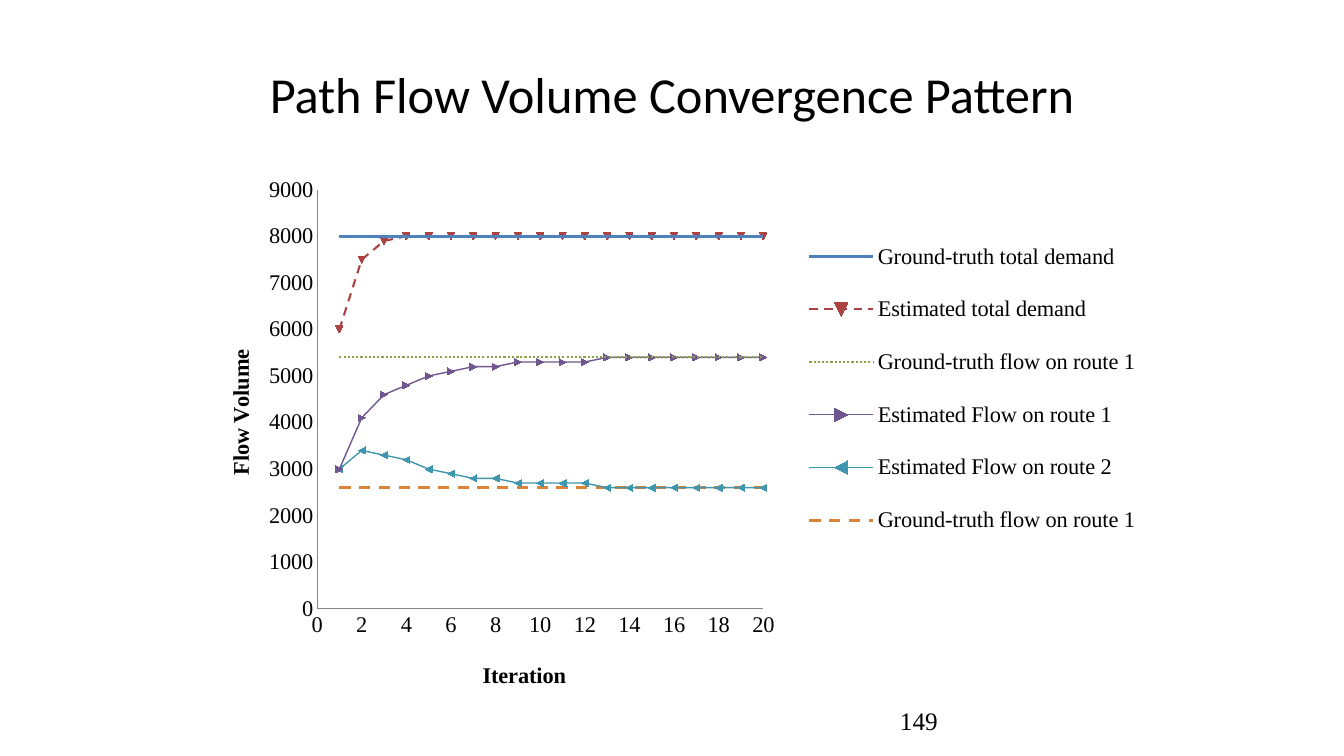
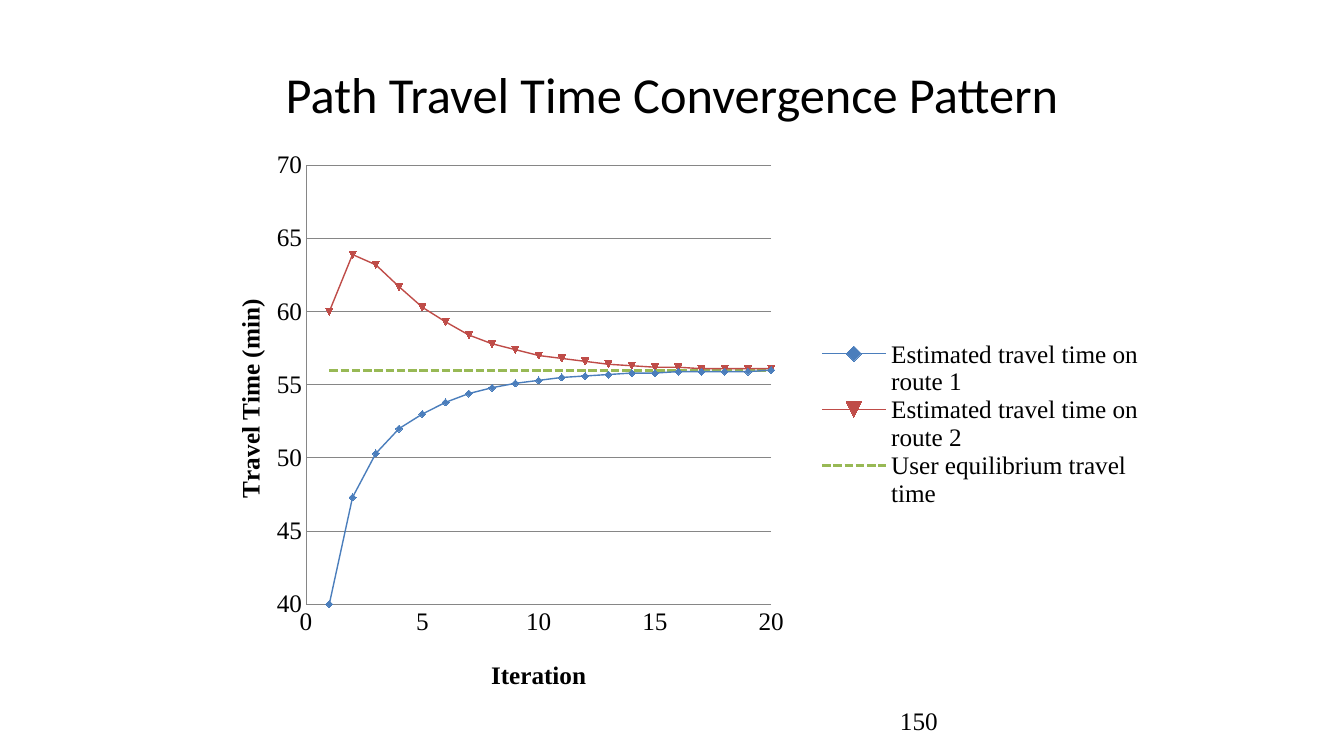
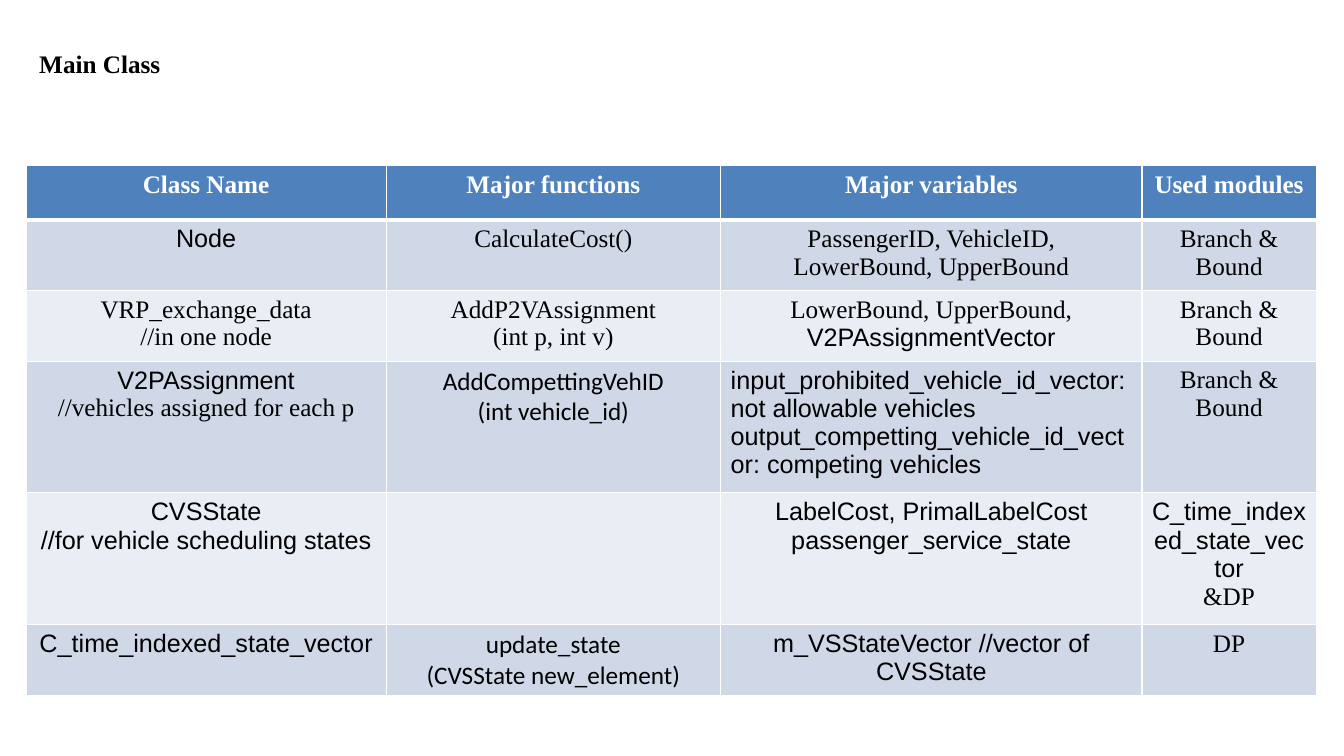
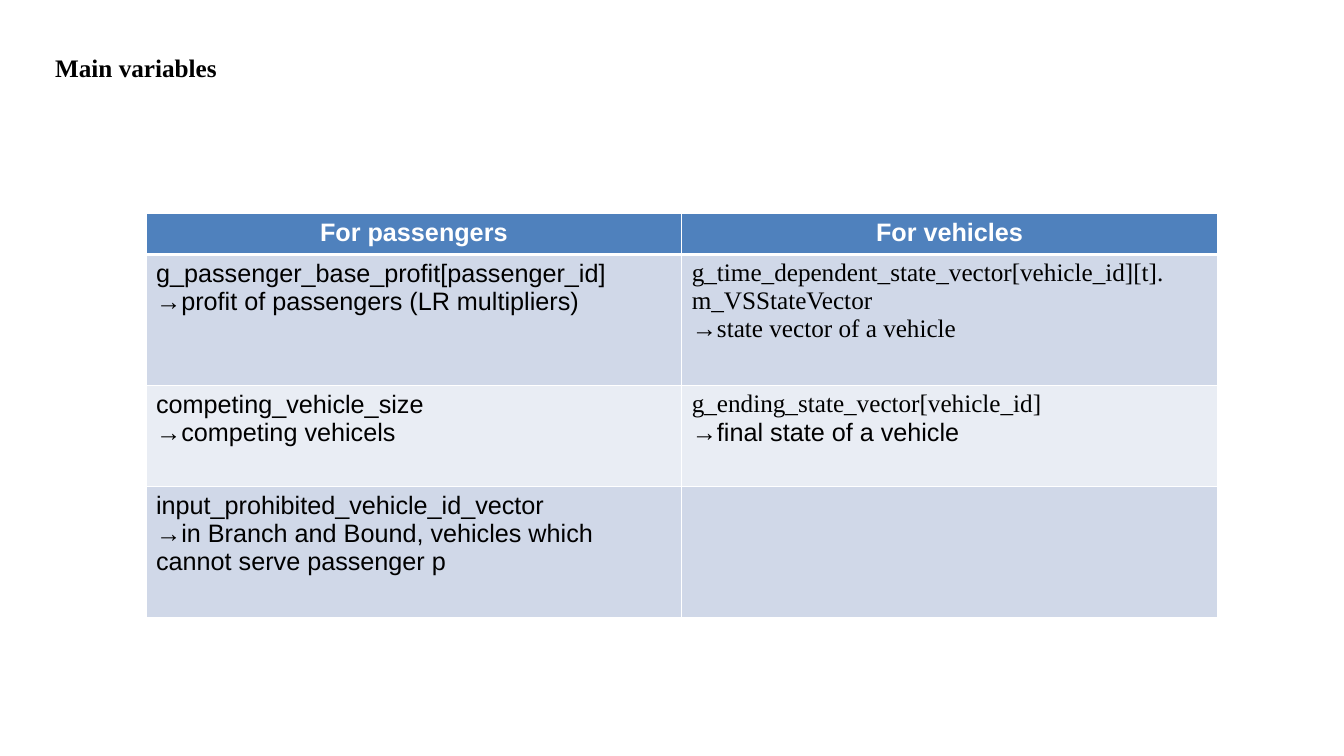
"""Build four slides: two convergence charts and two code reference tables."""
from collections import namedtuple

from lxml import etree
from pptx import Presentation
from pptx import util as u
from pptx.chart import data as chart_data
from pptx.dml import color as dml
from pptx.enum import chart as charts, dml as lines, text
from pptx.oxml import ns

SERIF, SANS, TITLE_FONT = "Times New Roman", "Arial", "Calibri"
BLACK, WHITE, GREY = "000000", "FFFFFF", "868686"
HEADER, BANDS = "4F81BD", ("D0D8E8", "E9EDF4")
TABLE_SIZE = 18
COUNT = 20
DASH, DOTS, SHORT_DASH = (lines.MSO_LINE.DASH, lines.MSO_LINE.ROUND_DOT,
                          lines.MSO_LINE.SQUARE_DOT)

Curve = namedtuple("Curve", "name values color width dash marked", defaults=(None, False))
Axis = namedtuple("Axis", "title low high step title_at")

BRANCH = [(SERIF, "Branch & Bound")]
CLASS_ROWS = [
    [[(SERIF, name)] for name in
     ("Class Name", "Major functions", "Major variables", "Used modules")],
    [[(SANS, "Node")],
     [(SERIF, "CalculateCost()")],
     [(SERIF, "PassengerID, VehicleID,"), (SERIF, "LowerBound, UpperBound")],
     BRANCH],
    [[(SERIF, "VRP_exchange_data"), (SERIF, "//in one node")],
     [(SERIF, "AddP2VAssignment"), (SERIF, "(int p, int v)")],
     [(SERIF, "LowerBound, UpperBound,"), (SANS, "V2PAssignmentVector")],
     BRANCH],
    [[(SANS, "V2PAssignment"), (SERIF, "//vehicles assigned for each p")],
     [(TITLE_FONT, "AddCompettingVehID"), (TITLE_FONT, "(int vehicle_id)")],
     [(SANS, "input_prohibited_vehicle_id_vector: not allowable vehicles"),
      (SANS, "output_competting_vehicle_id_vector: competing vehicles")],
     BRANCH],
    [[(SANS, "CVSState"), (SANS, "//for vehicle scheduling states")],
     [],
     [(SANS, "LabelCost, PrimalLabelCost"), (SANS, "passenger_service_state")],
     [(SANS, "C_time_indexed_state_vector"), (SERIF, "&DP")]],
    [[(SANS, "C_time_indexed_state_vector")],
     [(TITLE_FONT, "update_state"), (TITLE_FONT, "(CVSState new_element)")],
     [(SANS, "m_VSStateVector //vector of CVSState")],
     [(SERIF, "DP")]],
]
VARIABLE_ROWS = [
    [[(SANS, "For passengers")], [(SANS, "For vehicles")]],
    [[(SANS, "g_passenger_base_profit[passenger_id]"),
      (SANS, "→profit of passengers (LR multipliers)")],
     [(SERIF, "g_time_dependent_state_vector[vehicle_id][t]. m_VSStateVector"),
      (SERIF, "→state vector of a vehicle")]],
    [[(SANS, "competing_vehicle_size"), (SANS, "→competing vehicels")],
     [(SERIF, "g_ending_state_vector[vehicle_id]"),
      (SANS, "→final state of a vehicle")]],
    [[(SANS, "input_prohibited_vehicle_id_vector"),
      (SANS, "→in Branch and Bound, vehicles which cannot serve passenger p")],
     []],
]


def rgb(value):
    """Turn a hex string into a colour."""
    return dml.RGBColor.from_string(value)


def style_font(font, name, size, color=BLACK, bold=False):
    """Set the look of a font."""
    font.name, font.size, font.bold = name, u.Pt(size), bold
    font.color.rgb = rgb(color)


def add_text(page, content, area, font, size, align, bold=False,
             anchor=text.MSO_ANCHOR.TOP):
    """Add a one-paragraph text box."""
    box = page.shapes.add_textbox(*map(u.Cm, area))
    frame = box.text_frame
    frame.word_wrap = True
    frame.vertical_anchor = anchor
    para = frame.paragraphs[0]
    para.text, para.alignment = content, align
    style_font(para.font, font, size, bold=bold)


def add_title(page, content):
    """Add the centred title of a chart slide."""
    add_text(page, content, (1.7, 0.76, 30.48, 3.18), TITLE_FONT, 36,
             text.PP_ALIGN.CENTER, anchor=text.MSO_ANCHOR.MIDDLE)


def add_page_number(page, number):
    """Add the page number."""
    add_text(page, str(number), (22.43, 17.65, 5.92, 1.02), SERIF, 18, text.PP_ALIGN.LEFT)


def add_heading(page, content, left, top):
    """Add the small bold heading of a table slide."""
    add_text(page, content, (left, top, 7.26, 1.02), SERIF, 18,
             text.PP_ALIGN.JUSTIFY, bold=True)


def place(part, index, area, inner=False):
    """Fix a chart part at fractions of the chart area."""
    old = part.find(ns.qn("c:layout"))
    if old is not None:
        part.remove(old)
    layout = etree.Element(ns.qn("c:layout"))
    manual = etree.SubElement(layout, ns.qn("c:manualLayout"))
    settings = [("layoutTarget", "inner")] if inner else []
    settings += [("xMode", "edge"), ("yMode", "edge")]
    settings += zip("xywh", area)
    for tag, value in settings:
        etree.SubElement(manual, ns.qn("c:" + tag)).set("val", str(value))
    part.insert(index, layout)


def style_axis(axis, plan, size, upright=False, grid=False):
    """Set the scale, title and lines of an axis."""
    axis.minimum_scale, axis.maximum_scale = plan.low, plan.high
    axis.major_unit = plan.step
    axis.major_tick_mark = axis.minor_tick_mark = charts.XL_TICK_MARK.NONE
    axis.has_major_gridlines = grid
    outlines = [axis.format.line]
    if grid:
        outlines.append(axis.major_gridlines.format.line)
    for line in outlines:
        line.color.rgb, line.width = rgb(GREY), u.Pt(0.75)
    style_font(axis.tick_labels.font, SERIF, size)
    para = axis.axis_title.text_frame.paragraphs[0]
    para.text = plan.title
    style_font(para.font, SERIF, size, bold=True)
    title = axis.axis_title._element
    if upright:
        title.find(".//" + ns.qn("a:bodyPr")).set("rot", "-5400000")
    place(title, 1, plan.title_at)


def style_curve(series, curve):
    """Set the line and markers of a series."""
    series.smooth = False
    line = series.format.line
    line.color.rgb, line.width = rgb(curve.color), u.Pt(curve.width)
    if curve.dash:
        line.dash_style = curve.dash
    marker = series.marker
    if not curve.marked:
        marker.style = charts.XL_MARKER_STYLE.NONE
        return
    marker.style, marker.size = charts.XL_MARKER_STYLE.AUTOMATIC, 5
    marker.format.fill.solid()
    marker.format.fill.fore_color.rgb = rgb(curve.color)
    marker.format.line.color.rgb = rgb(curve.color)


def add_scatter(page, area, curves, across, up, size, plot_at, legend_at, grid=False):
    """Add a scatter chart of values by iteration."""
    data = chart_data.XyChartData()
    for curve in curves:
        series = data.add_series(curve.name)
        for iteration, value in enumerate(curve.values, 1):
            series.add_data_point(iteration, value)
    chart = page.shapes.add_chart(charts.XL_CHART_TYPE.XY_SCATTER_LINES,
                                  *map(u.Cm, area), data).chart
    chart.has_title = False
    style_font(chart.font, SERIF, size)
    chart.plots[0].vary_by_categories = False
    for series, curve in zip(chart.plots[0].series, curves):
        style_curve(series, curve)
    style_axis(chart.category_axis, across, size)
    style_axis(chart.value_axis, up, size, upright=True, grid=grid)
    chart.has_legend = True
    chart.legend.position = charts.XL_LEGEND_POSITION.RIGHT
    chart.legend.include_in_layout = False
    style_font(chart.legend.font, SERIF, size)
    place(chart.legend._element, 1, legend_at)
    place(chart._chartSpace.find(".//" + ns.qn("c:plotArea")), 0, plot_at, inner=True)


def add_borders(cell, bottom):
    """Draw white borders round a cell."""
    props = cell._tc.get_or_add_tcPr()
    for index, (side, width) in enumerate(
            (("lnL", 1), ("lnR", 1), ("lnT", 1), ("lnB", bottom))):
        border = etree.Element(ns.qn("a:" + side), w=str(u.Pt(width)))
        fill = etree.SubElement(border, ns.qn("a:solidFill"))
        etree.SubElement(fill, ns.qn("a:srgbClr"), val=WHITE)
        props.insert(index, border)


def fill_cell(cell, paras, header, fill, align):
    """Write and colour one table cell."""
    cell.fill.solid()
    cell.fill.fore_color.rgb = rgb(fill)
    add_borders(cell, 3 if header else 1)
    frame = cell.text_frame
    for index, (font, content) in enumerate(paras):
        para = frame.add_paragraph() if index else frame.paragraphs[0]
        para.text, para.alignment = content, align
        style_font(para.font, font, TABLE_SIZE, WHITE if header else BLACK, header)


def add_grid(page, left, top, widths, heights, rows, left_cells):
    """Add a banded table with a header row."""
    area = (left, top, sum(widths), sum(heights))
    table = page.shapes.add_table(len(rows), len(widths), *map(u.Cm, area)).table
    for column, width in zip(table.columns, widths):
        column.width = u.Cm(width)
    for r, (height, row) in enumerate(zip(heights, rows)):
        table.rows[r].height = u.Cm(height)
        fill = BANDS[(r - 1) % 2] if r else HEADER
        for c, paras in enumerate(row):
            align = text.PP_ALIGN.LEFT if (r, c) in left_cells else text.PP_ALIGN.CENTER
            fill_cell(table.cell(r, c), paras, r == 0, fill, align)


def build_flow(page):
    """Build the path flow slide."""
    add_title(page, "Path Flow Volume Convergence Pattern")
    add_page_number(page, 149)
    route_1 = [3000, 4100, 4600, 4800, 5000, 5100, 5200, 5200] + [5300] * 4 + [5400] * 8
    route_2 = [3000, 3400, 3300, 3200, 3000, 2900, 2800, 2800] + [2700] * 4 + [2600] * 8
    curves = [
        Curve("Ground-truth total demand", [8000] * COUNT, "4F81BD", 2.25),
        Curve("Estimated total demand", [6000, 7500, 7900] + [8000] * 17,
              "AA4341", 1.5, DASH, True),
        Curve("Ground-truth flow on route 1", [5400] * COUNT, "88A54B", 1.5, DOTS),
        Curve("Estimated Flow on route 1", route_1, "6F568E", 1, marked=True),
        Curve("Estimated Flow on route 2", route_2, "3F97AF", 1, marked=True),
        Curve("Ground-truth flow on route 1", [2600] * COUNT, "DB8239", 2, DASH),
    ]
    add_scatter(page, (4.88, 4.24, 23.93, 13.54), curves,
                Axis("Iteration", 0, COUNT, 2, (0.3, 0.91)),
                Axis("Flow Volume", 0, 9000, 1000, (0.03, 0.33)),
                16, (0.13, 0.04, 0.47, 0.78), (0.64, 0.09, 0.36, 0.64))


def build_time(page):
    """Build the path travel time slide."""
    add_title(page, "Path Travel Time Convergence Pattern")
    add_page_number(page, 150)
    route_1 = [40, 47.3, 50.3, 52, 53, 53.8, 54.4, 54.8, 55.1, 55.3,
               55.5, 55.6, 55.7, 55.8, 55.8, 55.9, 55.9, 55.9, 55.9, 56]
    route_2 = [60, 63.9, 63.2, 61.7, 60.3, 59.3, 58.4, 57.8, 57.4, 57,
               56.8, 56.6, 56.4, 56.3, 56.2, 56.2, 56.1, 56.1, 56.1, 56.1]
    curves = [
        Curve("Estimated travel time on route 1", route_1, "4B7EBC", 1, marked=True),
        Curve("Estimated travel time on route 2", route_2, "BF4C48", 1, marked=True),
        Curve("User equilibrium travel time", [56] * COUNT, "98B955", 2, SHORT_DASH),
    ]
    add_scatter(page, (5.08, 3.6, 23.93, 14.18), curves,
                Axis("Iteration", 0, COUNT, 5, (0.3, 0.91)),
                Axis("Travel Time (min)", 40, 70, 5, (0.03, 0.27)),
                18, (0.11, 0.04, 0.49, 0.78), (0.64, 0.35, 0.36, 0.3), grid=True)


def build_classes(page):
    """Build the main class slide."""
    add_heading(page, "Main Class", 0.74, 1.09)
    add_grid(page, 0.66, 4.17, (9.07, 8.43, 10.62, 4.39),
             (1.37, 1.78, 1.78, 3.32, 3.32, 1.78), CLASS_ROWS, {(3, 2)})


def build_variables(page):
    """Build the main variables slide."""
    add_heading(page, "Main variables", 1.14, 1.19)
    body = {(r, c) for r in range(1, len(VARIABLE_ROWS)) for c in range(2)}
    add_grid(page, 3.68, 5.38, (13.5, 13.5), (1.03, 3.3, 2.55, 3.3), VARIABLE_ROWS, body)


def main():
    """Build and save the deck."""
    deck = Presentation()
    deck.slide_width, deck.slide_height = u.Cm(33.87), u.Cm(19.05)
    for build in (build_flow, build_time, build_classes, build_variables):
        build(deck.slides.add_slide(deck.slide_layouts[6]))
    deck.save("out.pptx")


if __name__ == "__main__":
    main()
